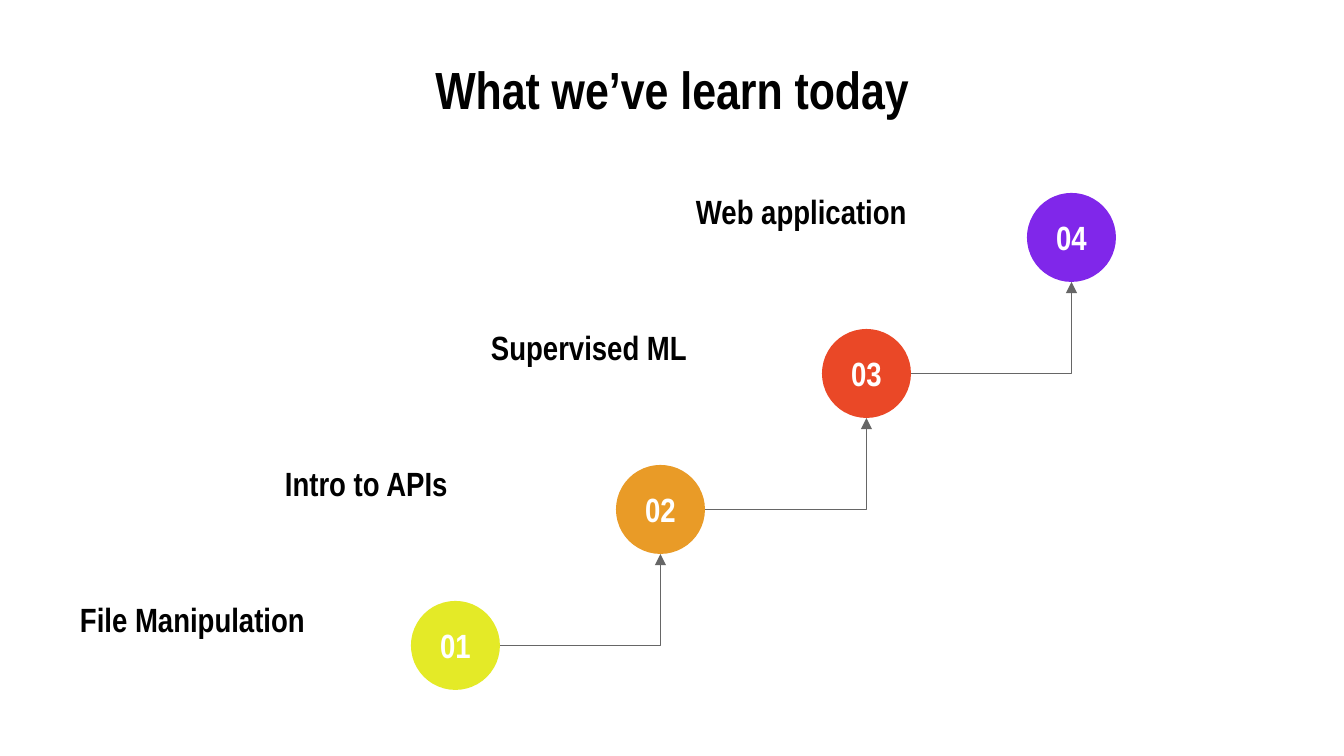
import lxml.etree
import pptx
import pptx.dml.color
import pptx.enum.shapes
import pptx.enum.text
import pptx.oxml.ns
import pptx.util

EMU_PER_PX = 914400 / 134.4
COLORS = {
    "text": "000000",
    "number": "FFFFFF",
    "arrow": "666666",
    "yellow": "E4EA27",
    "orange": "E99B27",
    "red": "EA4827",
    "purple": "8027EA",
}
STEPS = [
    ("File Manipulation", "yellow"),
    ("Intro to APIs", "orange"),
    ("Supervised ML", "red"),
    ("Web application", "purple"),
]
FIRST_LEFT, FIRST_TOP = 411, 601
LAST_LEFT, LAST_TOP = 1027, 193
CIRCLE = 89
LABEL_OFFSET_X, LABEL_OFFSET_Y = -344, -6
LABEL_WIDTH, LABEL_HEIGHT = 292, 48
INSET = 13


def px(value):
    return pptx.util.Emu(round(value * EMU_PER_PX))


def color(name):
    return pptx.dml.color.RGBColor.from_string(COLORS[name])


def set_attributes(target, values):
    for name, value in values.items():
        setattr(target, name, value)


def write_text(shape, text, size, color_name, centered, wrap=True):
    frame = shape.text_frame
    set_attributes(frame, {
        "word_wrap": wrap,
        "vertical_anchor": pptx.enum.text.MSO_ANCHOR.MIDDLE,
        "margin_left": px(INSET),
        "margin_top": px(INSET),
        "margin_right": px(INSET),
        "margin_bottom": px(INSET),
    })
    paragraph = frame.paragraphs[0]
    alignments = pptx.enum.text.PP_ALIGN
    paragraph.alignment = alignments.CENTER if centered else alignments.LEFT
    run = paragraph.add_run()
    run.text = text
    set_attributes(run.font, {
        "name": "Arial Narrow",
        "size": pptx.util.Pt(size),
        "bold": True,
    })
    run.font.color.rgb = color(color_name)


def add_text(slide, text, left, top, width, height, size, centered=False):
    box = slide.shapes.add_textbox(px(left), px(top), px(width), px(height))
    write_text(box, text, size, "text", centered)


def add_circle(slide, number, left, top, fill):
    circle = slide.shapes.add_shape(
        pptx.enum.shapes.MSO_SHAPE.OVAL, px(left), px(top), px(CIRCLE), px(CIRCLE))
    circle.shadow.inherit = False
    circle.fill.solid()
    circle.fill.fore_color.rgb = color(fill)
    circle.line.fill.background()
    write_text(circle, f"{number:02d}", 18, "number", centered=True, wrap=False)


def add_step_arrow(slide, start, end):
    """Draw an arrow that runs level from start, then turns once up to end."""
    arrow = slide.shapes.add_connector(
        pptx.enum.shapes.MSO_CONNECTOR.ELBOW, *map(px, start + end))
    arrow.line.color.rgb = color("arrow")
    arrow.line.width = pptx.util.Pt(0.75)
    qn = pptx.oxml.ns.qn
    properties = arrow._element.spPr
    properties.find(qn("a:prstGeom")).set("prst", "bentConnector2")
    lxml.etree.SubElement(properties.find(qn("a:ln")), qn("a:tailEnd"), type="triangle")
    lxml.etree.SubElement(properties, qn("a:effectLst"))


def step_corner(index):
    """Return the left and top of a step's circle."""
    share = index / (len(STEPS) - 1)
    return (round(FIRST_LEFT + share * (LAST_LEFT - FIRST_LEFT)),
            round(FIRST_TOP + share * (LAST_TOP - FIRST_TOP)))


def main():
    presentation = pptx.Presentation()
    presentation.slide_width, presentation.slide_height = px(1344), px(756)
    slide = presentation.slides.add_slide(presentation.slide_layouts[6])

    add_text(slide, "What we’ve learn today", 67, 61, 1210, 55, 28, centered=True)
    for index, (label, fill) in enumerate(STEPS):
        left, top = step_corner(index)
        add_circle(slide, index + 1, left, top, fill)
        add_text(slide, label, left + LABEL_OFFSET_X, top + LABEL_OFFSET_Y,
                 LABEL_WIDTH, LABEL_HEIGHT, 18)
        if index + 1 < len(STEPS):
            next_left, next_top = step_corner(index + 1)
            add_step_arrow(slide, (left + CIRCLE, top + CIRCLE / 2),
                           (next_left + CIRCLE / 2, next_top + CIRCLE))

    presentation.save("out.pptx")


if __name__ == "__main__":
    main()
